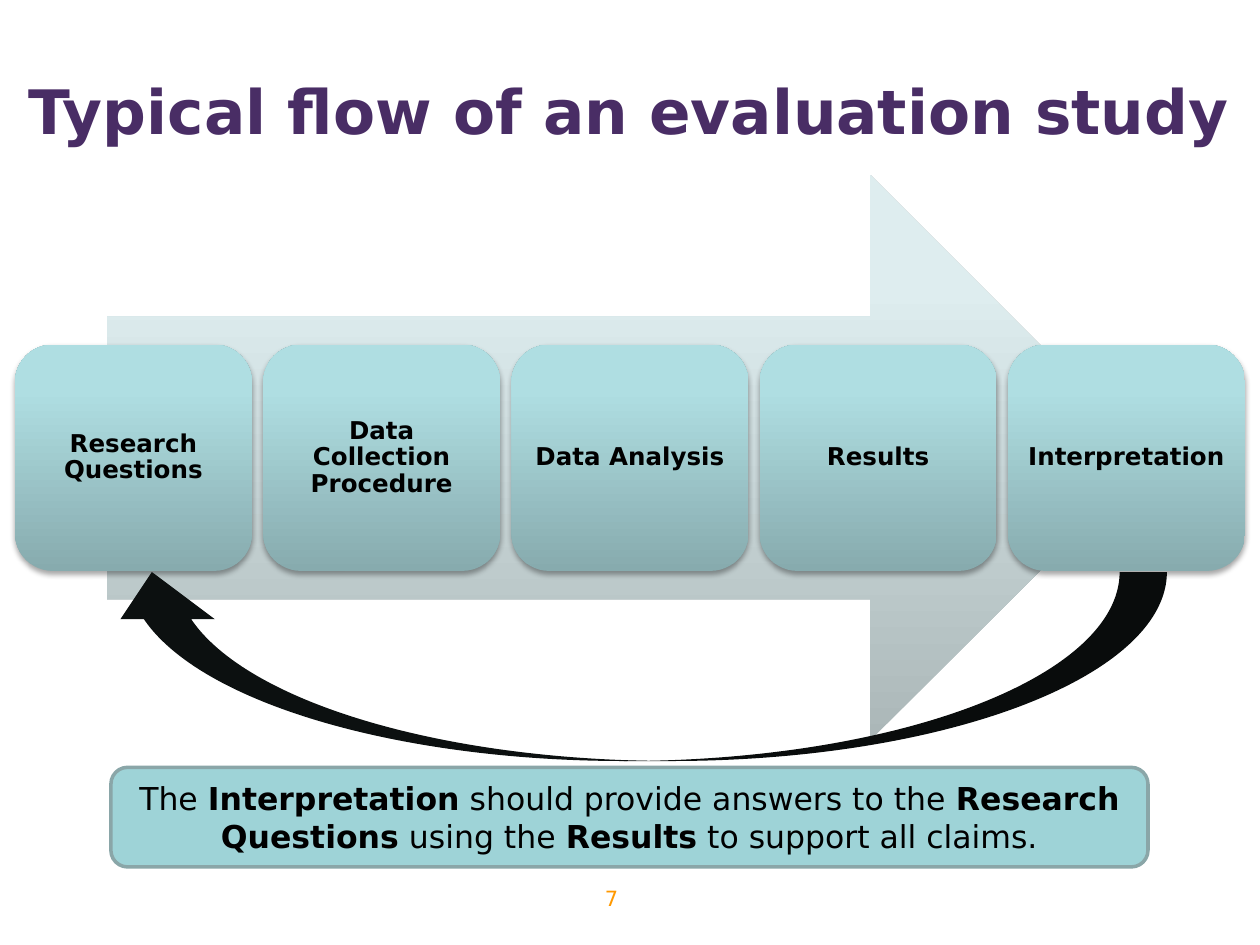
from copy import deepcopy
from dataclasses import dataclass

from lxml import etree
from pptx import Presentation
from pptx.dml.color import RGBColor
from pptx.enum import shapes, text
from pptx.oxml import ns
from pptx.util import Pt


@dataclass(frozen=True)
class Theme:
    font: str = "DejaVu Sans"
    title: str = "492D65"
    ink: str = "000000"
    number: str = "FF9900"
    loop: str = "0C1010"
    caption: str = "9ED3D7"
    border: str = "8AA6A8"
    arrow_stops: tuple = ((0, "ABB7B8"), (0.8, "DEEDEF"), (1, "DFEFF0"))
    step_stops: tuple = ((0, "87ABAE"), (0.8, "AFDEE2"), (1, "AFE0E4"))
    title_size: int = 35
    caption_size: int = 18
    step_size: int = 14
    number_size: int = 12


THEME = Theme()
STEPS = ["Research Questions", "Data Collection Procedure", "Data Analysis",
         "Results", "Interpretation"]
CAPTION = [("The ", False), ("Interpretation", True),
           (" should provide answers to the ", False),
           ("Research Questions", True), (" using the ", False),
           ("Results", True), (" to support all claims.", False)]


def color(value):
    return RGBColor.from_string(value)


def write(shape, runs, size, ink, inset=None, anchor=text.MSO_ANCHOR.MIDDLE):
    """Fill a shape with one centred paragraph of (words, bold) runs."""
    frame = shape.text_frame
    frame.word_wrap = True
    frame.vertical_anchor = anchor
    if inset is not None:
        frame.margin_left = frame.margin_right = Pt(inset)
        frame.margin_top = frame.margin_bottom = Pt(inset)
    paragraph = frame.paragraphs[0]
    paragraph.alignment = text.PP_ALIGN.CENTER
    for words, bold in runs:
        run = paragraph.add_run()
        run.text = words
        run.font.name = THEME.font
        run.font.size = Pt(size)
        run.font.bold = bold
        run.font.color.rgb = color(ink)
    return paragraph


def add_plain_shape(slide, kind, box):
    shape = slide.shapes.add_shape(kind, *map(Pt, box))
    shape.shadow.inherit = False
    shape.line.fill.background()
    return shape


def add_text_box(slide, box, *content, **options):
    write(slide.shapes.add_textbox(*map(Pt, box)), *content, **options)


def set_gradient(shape, stops):
    """Blend three colours from the bottom to the top."""
    shape.fill.gradient()
    shape.fill.gradient_angle = 90
    stop_list = shape._element.spPr.find(".//" + ns.qn("a:gsLst"))
    stop_list.append(deepcopy(stop_list[-1]))
    for stop, (position, value) in zip(shape.fill.gradient_stops, stops):
        stop.position = position
        stop.color.rgb = color(value)


def add_soft_shadow(shape):
    effects = shape._element.spPr.find(ns.qn("a:effectLst"))
    shadow = etree.SubElement(effects, ns.qn("a:outerShdw"), blurRad=str(Pt(3.1)),
                              dist=str(Pt(1.8)), dir="5400000", rotWithShape="0")
    shade = etree.SubElement(shadow, ns.qn("a:srgbClr"), val=THEME.ink)
    etree.SubElement(shade, ns.qn("a:alpha"), val="35000")


def add_process(slide, box):
    """Large arrow with a row of equal steps across its middle."""
    left, top, width, height = box
    margin = 52.6
    arrow = add_plain_shape(slide, shapes.MSO_SHAPE.RIGHT_ARROW,
                            (left + margin, top, width - 2 * margin, height))
    set_gradient(arrow, THEME.arrow_stops)

    gap = 6.4
    step_width = (width - gap * (len(STEPS) - 1)) / len(STEPS)
    step_height = height * 0.4
    step_top = top + (height - step_height) / 2
    for index, name in enumerate(STEPS):
        step = add_plain_shape(
            slide, shapes.MSO_SHAPE.ROUNDED_RECTANGLE,
            (left + index * (step_width + gap), step_top, step_width, step_height))
        set_gradient(step, THEME.step_stops)
        add_soft_shadow(step)
        paragraph = write(step, [(name, True)], THEME.step_size, THEME.ink, inset=4.4)
        paragraph.line_spacing = 0.9


def add_return_arrow(slide, box):
    """Curved arrow from the last step back to the first."""
    arrow = add_plain_shape(slide, shapes.MSO_SHAPE.CURVED_UP_ARROW, box)
    arrow.fill.solid()
    arrow.fill.fore_color.rgb = color(THEME.loop)
    arrow._element.spPr.find(ns.qn("a:xfrm")).set("flipH", "1")


def add_caption(slide, box):
    caption = add_plain_shape(slide, shapes.MSO_SHAPE.ROUNDED_RECTANGLE, box)
    caption.fill.solid()
    caption.fill.fore_color.rgb = color(THEME.caption)
    caption.line.color.rgb = color(THEME.border)
    caption.line.width = Pt(2)
    write(caption, CAPTION, THEME.caption_size, THEME.ink)


def main():
    presentation = Presentation()
    presentation.slide_width, presentation.slide_height = Pt(720), Pt(540)
    slide = presentation.slides.add_slide(presentation.slide_layouts[6])

    # Title and slide number
    add_text_box(slide, (8, 18, 703, 90),
                 [("Typical flow of an evaluation study", True)],
                 THEME.title_size, THEME.title, inset=0)
    add_text_box(slide, (235.4, 502.6, 228.2, 37.4), [("7", False)],
                 THEME.number_size, THEME.number, anchor=text.MSO_ANCHOR.TOP)

    # Flow, feedback loop and conclusion
    add_process(slide, (8.6, 100, 702.8, 323.2))
    add_return_arrow(slide, (59.8, 326.9, 607, 108))
    add_caption(slide, (63.4, 438.5, 592.6, 56.9))

    presentation.save("out.pptx")


if __name__ == "__main__":
    main()
